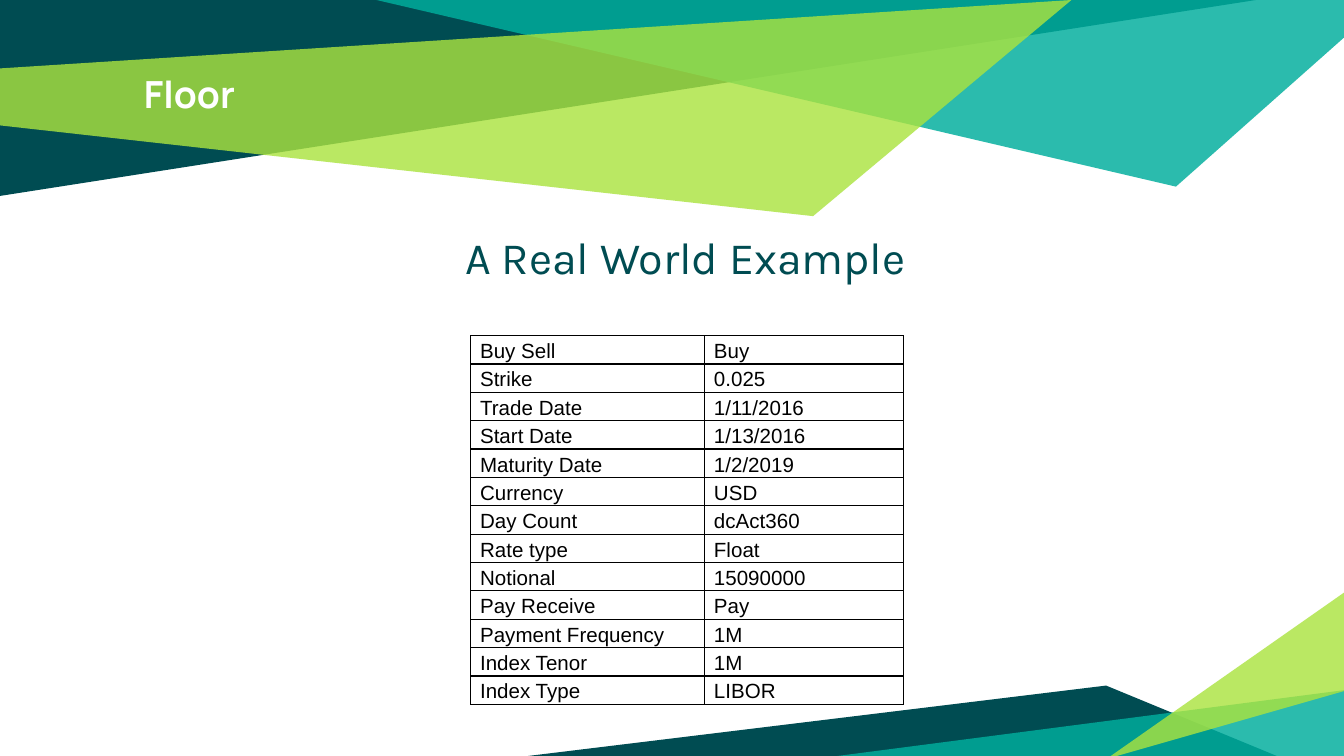
from dataclasses import dataclass
from lxml.etree import SubElement as Sub
from pptx import Presentation
from pptx.dml.color import RGBColor as RGB
from pptx.enum.text import MSO_ANCHOR as Anchor, PP_ALIGN as Align
from pptx.oxml.ns import qn
from pptx.util import Pt


@dataclass(frozen=True)
class Theme:
    dark: str = "004C52"
    teal: str = "00AE9D"
    lime: str = "ABE33F"
    white: str = "FFFFFF"
    black: str = "000000"
    title: int = 20
    head: int = 24
    cell: int = 11


theme = Theme()
prs = Presentation()
prs.slide_width, prs.slide_height = Pt(720), Pt(405)
slide = prs.slides.add_slide(prs.slide_layouts[6])
shapes = slide.shapes


def add_run(para, text, font, size, color, bold=False):
    run = para.add_run()
    run.text = text
    run.font.name, run.font.size, run.font.bold = font, Pt(size), bold
    run.font.color.rgb = RGB.from_string(color)


def add_box(left, top, width, height):
    """Add a wrapping text box and return its first paragraph."""
    frame = shapes.add_textbox(Pt(left), Pt(top), Pt(width), Pt(height)).text_frame
    frame.word_wrap = True
    frame.vertical_anchor = Anchor.TOP
    frame.margin_left = frame.margin_right = Pt(7.2)
    frame.margin_top = frame.margin_bottom = Pt(7.2)
    return frame.paragraphs[0]


# Bands at the top and bottom: colour, opacity in percent, corners
bands = [
    (theme.dark, 100, [(0, 0), (0, 105), (673, 0)]),
    (theme.teal, 83, [(201.6, 0), (630, 100), (720, 20.2), (720, 0)]),
    (theme.lime, 81, [(-0.5, 36.7), (0, 67.2), (435.6, 115.8), (574, 0)]),
    (theme.dark, 100, [(283, 405), (684, 405), (592.6, 367.3)]),
    (theme.teal, 83, [(721.2, 369.6), (721.2, 406.8), (435, 406.8)]),
    (theme.lime, 81, [(721, 370), (721, 316.8), (592.8, 406.6)]),
]
for color, alpha, points in bands:
    first, *rest = [(Pt(x), Pt(y)) for x, y in points]
    build = shapes.build_freeform(*first)
    build.add_line_segments(rest, close=True)
    band = build.convert_to_shape()
    band.shadow.inherit = False
    band.line.fill.background()
    band.fill.solid()
    band.fill.fore_color.rgb = RGB.from_string(color)
    if alpha < 100:
        tint = band._element.spPr.find(".//" + qn("a:srgbClr"))
        Sub(tint, qn("a:alpha"), val=str(alpha * 1000))

add_run(add_box(70, 31, 580, 46), "Floor", "Manrope", theme.title, theme.white, True)

head = add_box(65.5, 116, 597.6, 262)
head.alignment = Align.CENTER
head._p.get_or_add_pPr().set("marL", str(Pt(6)))
add_run(head, "A Real World Example", "Karla", theme.head, theme.dark)

# Terms of the floor
terms = [
    ("Buy Sell", "Buy"),
    ("Strike", "0.025"),
    ("Trade Date", "1/11/2016"),
    ("Start Date", "1/13/2016"),
    ("Maturity Date", "1/2/2019"),
    ("Currency", "USD"),
    ("Day Count", "dcAct360"),
    ("Rate type", "Float"),
    ("Notional", "15090000"),
    ("Pay Receive", "Pay"),
    ("Payment Frequency", "1M"),
    ("Index Tenor", "1M"),
    ("Index Type", "LIBOR"),
]
widths = (125.3, 106.5)
row_h = 14.1
table = shapes.add_table(len(terms), 2, Pt(252.2), Pt(179.8),
                         Pt(sum(widths)), Pt(row_h * len(terms))).table
table.first_row = table.horz_banding = False
for col, width in zip(table.columns, widths):
    col.width = Pt(width)
for row, pair in zip(table.rows, terms):
    row.height = Pt(row_h)
    for cell, text in zip(row.cells, pair):
        cell.vertical_anchor = Anchor.MIDDLE
        cell.margin_left = cell.margin_right = Pt(5)
        cell.margin_top = cell.margin_bottom = 0
        para = cell.text_frame.paragraphs[0]
        para.line_spacing = 1.15
        add_run(para, text, "Arial", theme.cell, theme.black)
        props = cell._tc.get_or_add_tcPr()
        for side in ("lnL", "lnR", "lnT", "lnB"):
            edge = Sub(props, qn("a:" + side), w=str(Pt(0.75)))
            Sub(Sub(edge, qn("a:solidFill")), qn("a:srgbClr"), val=theme.black)
        cell.fill.background()

prs.save("out.pptx")
